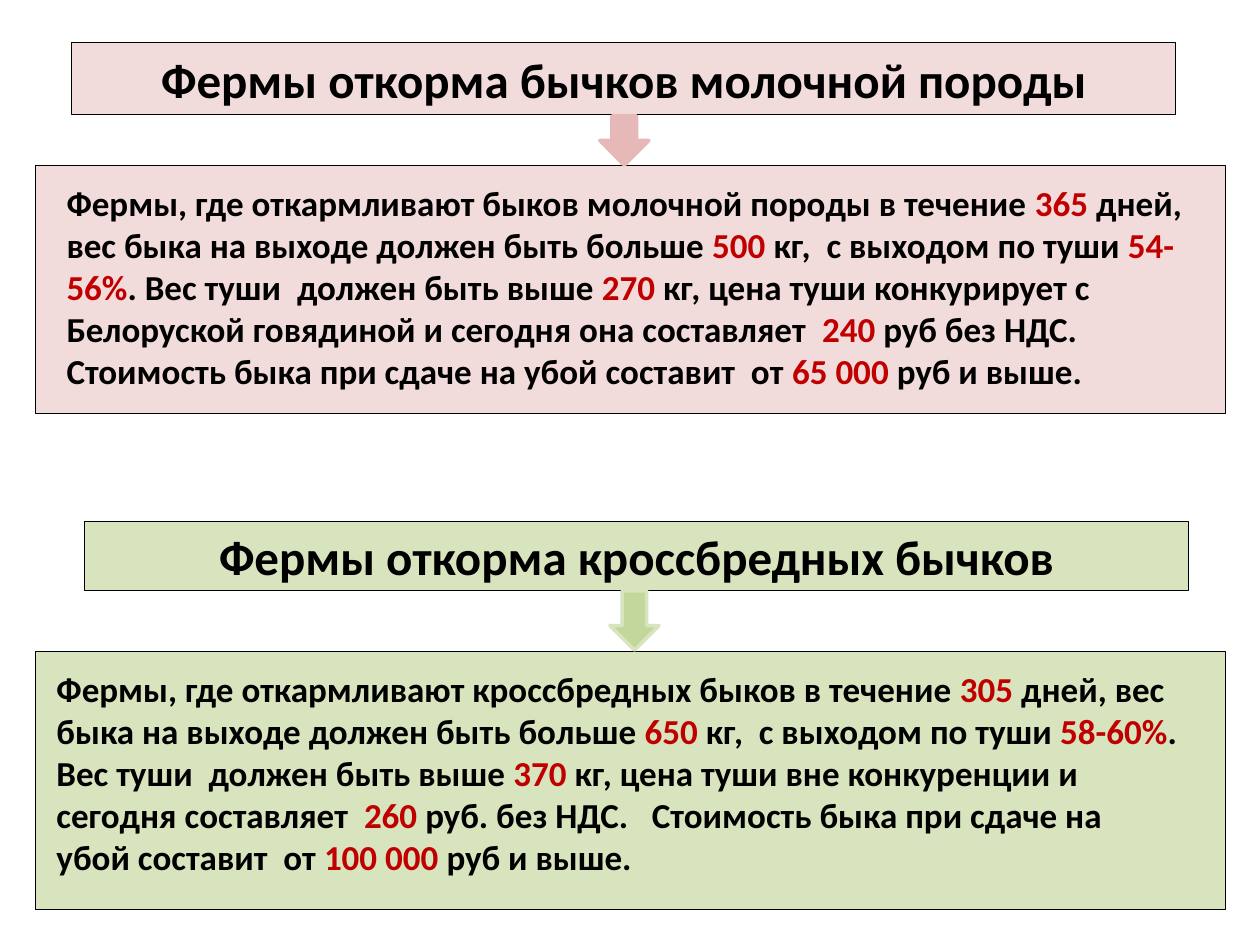
import pptx
import pptx.util
import pptx.dml.color
import pptx.enum.shapes
import pptx.enum.text

RGB = pptx.dml.color.RGBColor
BLACK = RGB(0x00, 0x00, 0x00)
RED = RGB(0xC0, 0x00, 0x00)
PINK = RGB(0xF2, 0xDC, 0xDB)
ROSE = RGB(0xE6, 0xB9, 0xB8)
LIME = RGB(0xD7, 0xE4, 0xBD)
GREEN = RGB(0xC3, 0xD6, 0x9B)

KIND = pptx.enum.shapes.MSO_SHAPE
ALIGN = pptx.enum.text.PP_ALIGN
ANCHOR = pptx.enum.text.MSO_ANCHOR
INCH = pptx.util.Inches

deck = pptx.Presentation()
deck.slide_width = INCH(10)
deck.slide_height = INCH(7.5)
slide = deck.slides.add_slide(deck.slide_layouts[6])


def draw(kind, area, fill, line, width):
    shape = slide.shapes.add_shape(kind, *map(INCH, area))
    shape.shadow.inherit = False
    shape.fill.solid()
    shape.fill.fore_color.rgb = fill
    shape.line.color.rgb = line
    shape.line.width = pptx.util.Pt(width)
    return shape


def write(frame, text, size=20, align=ALIGN.LEFT, anchor=ANCHOR.TOP, after=0):
    frame.word_wrap = True
    frame.vertical_anchor = anchor
    for row, part in enumerate(text.split("\n")):
        para = frame.add_paragraph() if row else frame.paragraphs[0]
        para.alignment = align
        para.space_after = pptx.util.Pt(after)
        for turn, piece in enumerate(part.split("|")):
            run = para.add_run()
            run.text = piece
            run.font.name = "Calibri"
            run.font.size = pptx.util.Pt(size)
            run.font.bold = True
            run.font.color.rgb = RED if turn % 2 else BLACK


farms = [
    dict(
        head="Фермы откорма бычков молочной породы",
        body="Фермы, где откармливают быков молочной породы в течение |365| дней, "
        "вес быка на выходе должен быть больше |500 |кг,  с выходом по туши |54-56%|. "
        "Вес туши  должен быть выше |270 |кг, цена туши конкурирует с Белоруской "
        "говядиной и сегодня она составляет  |240 |руб без НДС.   Стоимость быка "
        "при сдаче на убой составит  от |65 000 |руб и выше.",
        title=(0.57, 0.34, 8.76, 0.57), panel=(0.28, 1.31, 9.45, 1.97),
        note=(0.43, 1.39, 9.13, 1.78), arrow=(4.76, 0.92, 0.39, 0.39),
        pale=PINK, deep=ROSE, edge=ROSE,
    ),
    dict(
        head="Фермы откорма кроссбредных бычков",
        body="Фермы, где откармливают кроссбредных быков в течение |305| дней, "
        "вес быка на выходе должен быть больше |650 |кг,  с выходом по туши |58-60%|.\n"
        "Вес туши  должен быть выше |370 |кг, цена туши вне конкуренции и сегодня "
        "составляет  |260 |руб. без НДС.   Стоимость быка при сдаче на убой "
        "составит  от |100 000 |руб и выше.",
        title=(0.67, 4.14, 8.76, 0.55), panel=(0.28, 5.17, 9.45, 2.05),
        note=(0.35, 5.25, 9.13, 1.78), arrow=(4.84, 4.69, 0.39, 0.47),
        pale=LIME, deep=GREEN, edge=LIME,
    ),
]

for farm in farms:
    title = draw(KIND.RECTANGLE, farm["title"], farm["pale"], BLACK, 0.5)
    write(title.text_frame, farm["head"], size=28, align=ALIGN.CENTER,
          anchor=ANCHOR.MIDDLE, after=10)
    draw(KIND.RECTANGLE, farm["panel"], farm["pale"], BLACK, 0.5)
    note = slide.shapes.add_textbox(*map(INCH, farm["note"]))
    write(note.text_frame, farm["body"])
    draw(KIND.DOWN_ARROW, farm["arrow"], farm["deep"], farm["edge"], 2)

deck.save("out.pptx")
